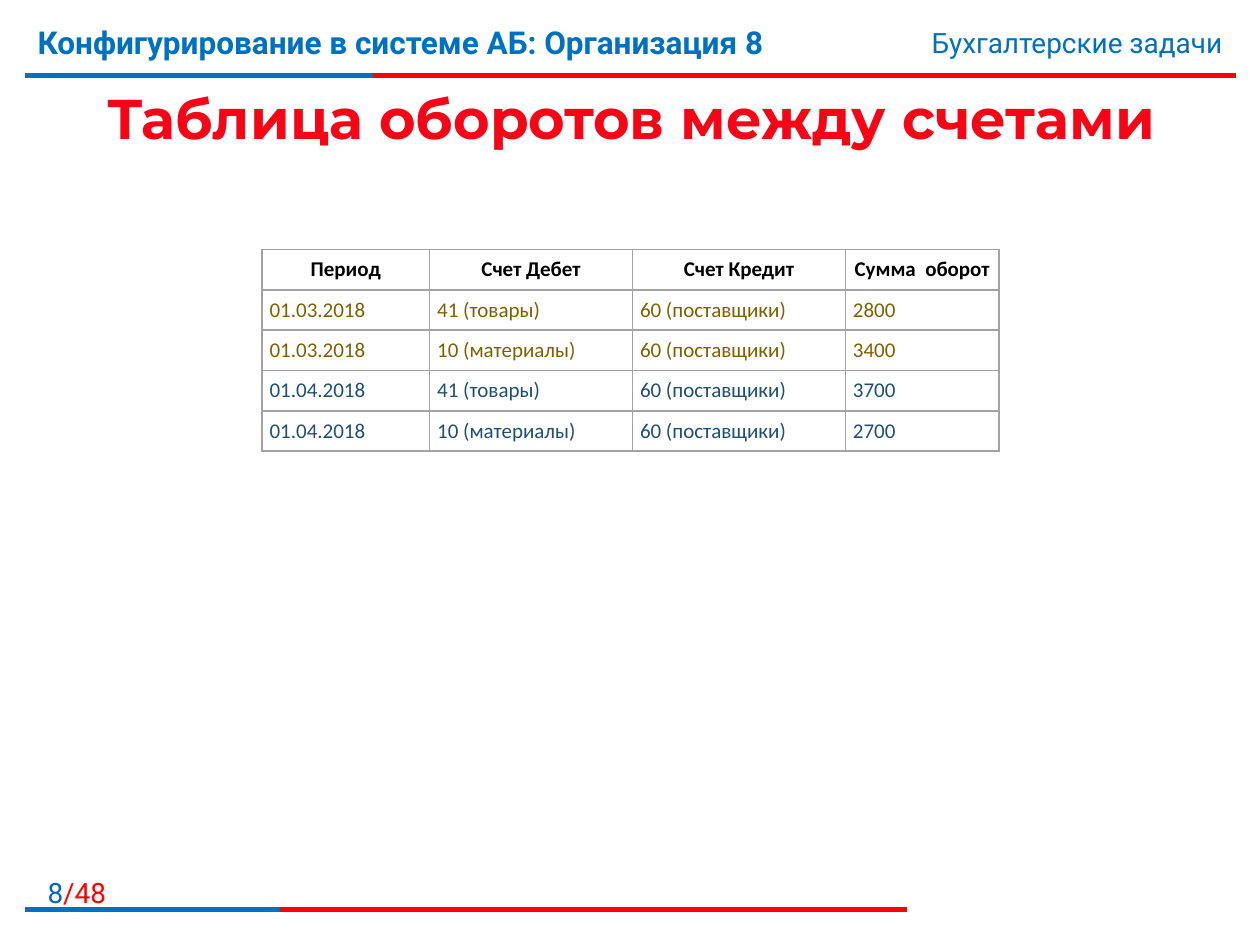
import pptx
import pptx.util
import pptx.dml.color
import pptx.enum.shapes
import pptx.enum.text
import pptx.oxml
import pptx.oxml.ns
from lxml import etree

Inches, Pt = pptx.util.Inches, pptx.util.Pt
Align = pptx.enum.text.PP_ALIGN
Anchor = pptx.enum.text.MSO_ANCHOR
qn = pptx.oxml.ns.qn

COLORS = {
    "red": "FF0000", "blue": "0070C0", "number": "0066CC",
    "title_top": "F50516", "title_bottom": "C00000", "white": "FFFFFF",
    "black": "000000", "olive": "7F6000", "navy": "1E4E79", "border": "A3A3A3",
}
HEADERS = ["Период", "Счет Дебет", "Счет Кредит", "Сумма  оборот"]
MONTHS = [  # period, text colour, sums by debit account
    ("01.03.2018", "olive", ["2800", "3400"]),
    ("01.04.2018", "navy", ["3700", "2700"]),
]
DEBITS = ["41 (товары)", "10 (материалы)"]
CREDIT = "60 (поставщики)"
COLUMN_WIDTHS = [1.33, 1.61, 1.69, 1.22]


def rgb(name):
    return pptx.dml.color.RGBColor.from_string(COLORS[name])


def set_font(font, name, size, color, bold=False):
    font.name, font.size, font.bold = name, Pt(size), bold
    font.color.rgb = rgb(color)


def line_xml(tag, color, points):
    line = etree.Element(qn(tag), w=str(Pt(points)))
    fill = etree.SubElement(line, qn("a:solidFill"))
    etree.SubElement(fill, qn("a:srgbClr"), val=COLORS[color])
    return line


def add_rule(slide, left, top, width, blue_width):
    """Red rule with a blue start."""
    for color, length in (("red", width), ("blue", blue_width)):
        rule = slide.shapes.add_connector(
            pptx.enum.shapes.MSO_CONNECTOR.STRAIGHT,
            Inches(left), Inches(top), Inches(left + length), Inches(top))
        rule.line.color.rgb = rgb(color)
        rule.line.width = Pt(3)
        etree.SubElement(rule._element.spPr, qn("a:effectLst"))


def add_text(slide, box, runs, size, align=Align.LEFT, bold=False):
    """Text box; runs are pairs of text and colour."""
    frame = slide.shapes.add_textbox(*map(Inches, box)).text_frame
    frame.word_wrap = True
    paragraph = frame.paragraphs[0]
    paragraph.alignment = align
    for text, color in runs:
        run = paragraph.add_run()
        run.text = text
        set_font(run.font, "Roboto", size, color, bold)


def add_header(slide, left, top, width):
    add_rule(slide, left, top + 0.47, width, 2.76)
    add_text(slide, (left, top, 7.4, 0.62),
             [("Конфигурирование в системе АБ: Организация 8", "blue")], 18, bold=True)
    add_text(slide, (left + width - 3.87, top + 0.02, 3.86, 0.37),
             [("Бухгалтерские задачи", "blue")], 16, Align.RIGHT)


def add_footer(slide, left, top, width):
    add_text(slide, (left - 0.15, top, 0.89, 0.32),
             [("8", "number"), ("/48", "red")], 16, Align.RIGHT)
    add_rule(slide, left, top + 0.32, width, 2.02)


def add_title(slide, left, top, width, height):
    title = slide.shapes.title
    title.left, title.top, title.width, title.height = map(
        Inches, (left, top, width, height))
    frame = title.text_frame
    frame.auto_size = pptx.enum.text.MSO_AUTO_SIZE.NONE
    frame.vertical_anchor = Anchor.MIDDLE
    paragraph = frame.paragraphs[0]
    paragraph.alignment = Align.CENTER
    run = paragraph.add_run()
    run.text = "Таблица оборотов между счетами"
    font = run.font
    font.name, font.size, font.bold = "Montserrat", Pt(32), True
    # Gradient from top to bottom, with a thin white outline
    font.fill.gradient()
    font.fill.gradient_angle = 270
    stops = (("title_top", 0.55), ("title_bottom", 0.86))
    for stop, (color, position) in zip(font.fill.gradient_stops, stops):
        stop.color.rgb = rgb(color)
        stop.position = position
    run._r.get_or_add_rPr().insert(0, line_xml("a:ln", "white", 0.75))


def fill_cell(cell, text, color, header):
    cell.margin_left = cell.margin_right = Inches(0.06)
    cell.margin_top = cell.margin_bottom = Inches(0.06)
    properties = cell._tc.get_or_add_tcPr()
    for side in "LRTB":
        properties.append(line_xml(f"a:ln{side}", "border", 1))
    cell.fill.background()
    cell.text = text
    paragraph = cell.text_frame.paragraphs[0]
    paragraph.alignment = Align.CENTER if header else Align.LEFT
    set_font(paragraph.runs[0].font, "Calibri", 12, color, header)


def add_turnover_table(slide, left, top, row_height):
    rows = [(HEADERS, "black")]
    for period, color, sums in MONTHS:
        rows += [([period, debit, CREDIT, amount], color)
                 for debit, amount in zip(DEBITS, sums)]
    table = slide.shapes.add_table(
        len(rows), len(HEADERS), Inches(left), Inches(top),
        Inches(sum(COLUMN_WIDTHS)), Inches(row_height * len(rows))).table
    table.first_row = table.horz_banding = False
    for column, width in zip(table.columns, COLUMN_WIDTHS):
        column.width = Inches(width)
    for row_index, (texts, color) in enumerate(rows):
        table.rows[row_index].height = Inches(row_height)
        for column_index, text in enumerate(texts):
            fill_cell(table.cell(row_index, column_index), text, color, row_index == 0)


presentation = pptx.Presentation()
presentation.slide_width, presentation.slide_height = Inches(10), Inches(7.5)
slide = presentation.slides.add_slide(presentation.slide_layouts[5])

add_header(slide, 0.2, 0.13, 9.61)
add_footer(slide, 0.2, 6.9, 7)
add_title(slide, 0.21, 0.63, 9.61, 0.6)
add_turnover_table(slide, 2.08, 1.98, 0.31)

presentation.save("out.pptx")
